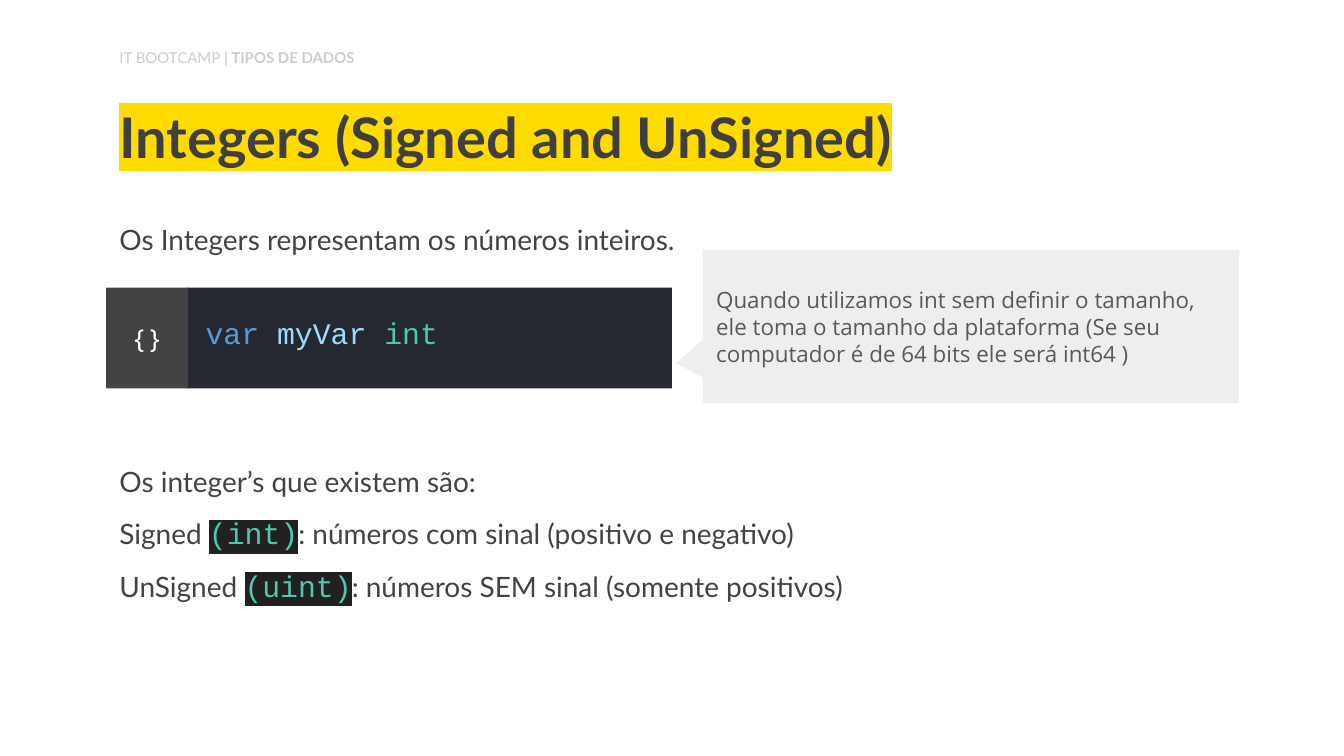
from lxml.etree import SubElement
from pptx import Presentation
from pptx.dml.color import RGBColor
from pptx.enum.shapes import MSO_SHAPE
from pptx.enum.text import MSO_ANCHOR, PP_ALIGN
from pptx.oxml.ns import qn
from pptx.util import Inches, Pt

HUES = {
    "ink": "434343", "title": "3F3F3F", "mark": "FFDB00", "crumb": "CCCCCC",
    "code": "262831", "key": "569CD6", "name": "9CDCFE", "type": "4EC9B0",
    "chip": "212121", "note": "EEEEEE", "gray": "595959", "white": "FFFFFF",
}
# Run styles: font values, colour and highlight
BODY = {"font": {"name": "Lato", "size": Pt(15)}, "hue": "ink"}
HEAD = {"font": {"name": "Lato", "size": Pt(30), "bold": True},
        "hue": "title", "mark": "mark"}
CRUMB = {"font": {"name": "Lato", "size": Pt(8)}, "hue": "crumb"}
STRONG = {"font": {**CRUMB["font"], "bold": True}, "hue": "crumb"}
MONO = {"name": "Courier New", "size": Pt(16)}
KEY, NAME, TYPE = ({"font": MONO, "hue": hue} for hue in ("key", "name", "type"))
CHIP = {**TYPE, "mark": "chip"}
ICON = {"font": {"name": "Noto Sans Mono", "size": Pt(14)}, "hue": "white"}
NOTE = {"font": {"name": "Open Sans", "size": Pt(12)}, "hue": "gray"}


def apply(obj, values):
    for key, value in values.items():
        setattr(obj, key, value)


def add_run(para, text, style):
    run = para.add_run()
    run.text = text
    run.font.color.rgb = RGBColor.from_string(HUES[style["hue"]])
    apply(run.font, style["font"])
    if "mark" in style:
        props = run.font._element
        glow = SubElement(props, qn("a:highlight"))
        SubElement(glow, qn("a:srgbClr"), val=HUES[style["mark"]])
        props.find(qn("a:solidFill")).addnext(glow)


def write(shape, paras, form=None, anchor=MSO_ANCHOR.TOP, pads=(0.1,) * 4, gap=0):
    frame = shape.text_frame
    sides = ("margin_left", "margin_top", "margin_right", "margin_bottom")
    apply(frame, dict(zip(sides, map(Inches, pads))))
    apply(frame, {"word_wrap": True, "vertical_anchor": anchor})
    for i, runs in enumerate(paras):
        para = frame.add_paragraph() if i else frame.paragraphs[0]
        apply(para, {"alignment": PP_ALIGN.LEFT, **(form or {})})
        if i:
            para.space_before = Pt(gap)
        for text, style in runs:
            add_run(para, text, style)


def add_text(slide, box, paras, **opts):
    write(slide.shapes.add_textbox(*map(Inches, box)), paras, **opts)


def add_block(slide, box, hue, paras, kind=MSO_SHAPE.RECTANGLE, **opts):
    shape = slide.shapes.add_shape(kind, *map(Inches, box))
    shape.shadow.inherit = False
    shape.fill.solid()
    shape.fill.fore_color.rgb = RGBColor.from_string(HUES[hue])
    shape.line.fill.background()
    write(shape, paras, anchor=MSO_ANCHOR.MIDDLE, **opts)
    return shape


# Breadcrumb and highlighted title
def add_header(slide, box):
    x, y, w, h = box
    add_text(slide, (x, y, 3.14, 0.27),
             [[("IT BOOTCAMP", CRUMB), (" | TIPOS DE DADOS", STRONG)]],
             pads=(0.1, 0.05, 0.1, 0.05))
    add_text(slide, (x, y + h - 0.69, w, 0.69),
             [[("Integers (Signed and UnSigned)", HEAD)]],
             form={"line_spacing": 0.9}, anchor=MSO_ANCHOR.BOTTOM)


def add_intro(slide, box):
    add_text(slide, box, [[("Os Integers representam os números inteiros.", BODY)]],
             form={"line_spacing": 1.5})


# Code panel with its icon tab, which overlaps it slightly
def add_code(slide, box):
    x, y, w, h = box
    tab, lap = 0.6, 0.01
    add_block(slide, (x + tab, y, w - tab, h), "code",
              [[("var ", KEY), ("myVar ", NAME), ("int", TYPE)]],
              form={"line_spacing": 1.15, "space_after": Pt(0)},
              pads=(0.14, 0.02, 0.02, 0.14))
    add_block(slide, (x, y, tab + lap, h), "ink", [[("{}", ICON)]],
              form={"alignment": PP_ALIGN.CENTER})


# Callout pointing at the code
def add_note(slide, box):
    text = ("Quando utilizamos int sem definir o tamanho, ele toma o tamanho da "
            "plataforma (Se seu computador é de 64 bits ele será int64 )")
    note = add_block(slide, box, "note", [[(text, NOTE)]],
                     kind=MSO_SHAPE.ROUNDED_RECTANGULAR_CALLOUT)
    for i, value in enumerate((-0.55, 0.24, 0)):
        note.adjustments[i] = value


# Kinds of integer
def add_kinds(slide, box):
    kinds = (("Signed ", "(int)", ": números com sinal (positivo e negativo)"),
             ("UnSigned ", "(uint)", ": números SEM sinal (somente positivos)"))
    paras = [[("Os integer’s que existem são:", BODY)]]
    paras += [list(zip(parts, (BODY, CHIP, BODY))) for parts in kinds]
    add_text(slide, box, paras, form={"line_spacing": 1.15}, gap=6)


def main():
    deck = Presentation()
    wide = Inches(10)
    apply(deck, {"slide_width": wide, "slide_height": wide * 9 // 16})
    slide = deck.slides.add_slide(deck.slide_layouts[6])
    left, span = 0.79, 8.43
    add_header(slide, (left, 0.31, span, 1.06))
    add_intro(slide, (left, 1.43, span, 0.56))
    add_code(slide, (left, 2.14, 4.21, 0.75))
    add_note(slide, (5.23, 1.86, 3.99, 1.14))
    add_kinds(slide, (left, 3.32, span, 1.24))
    deck.save("out.pptx")


if __name__ == "__main__":
    main()
